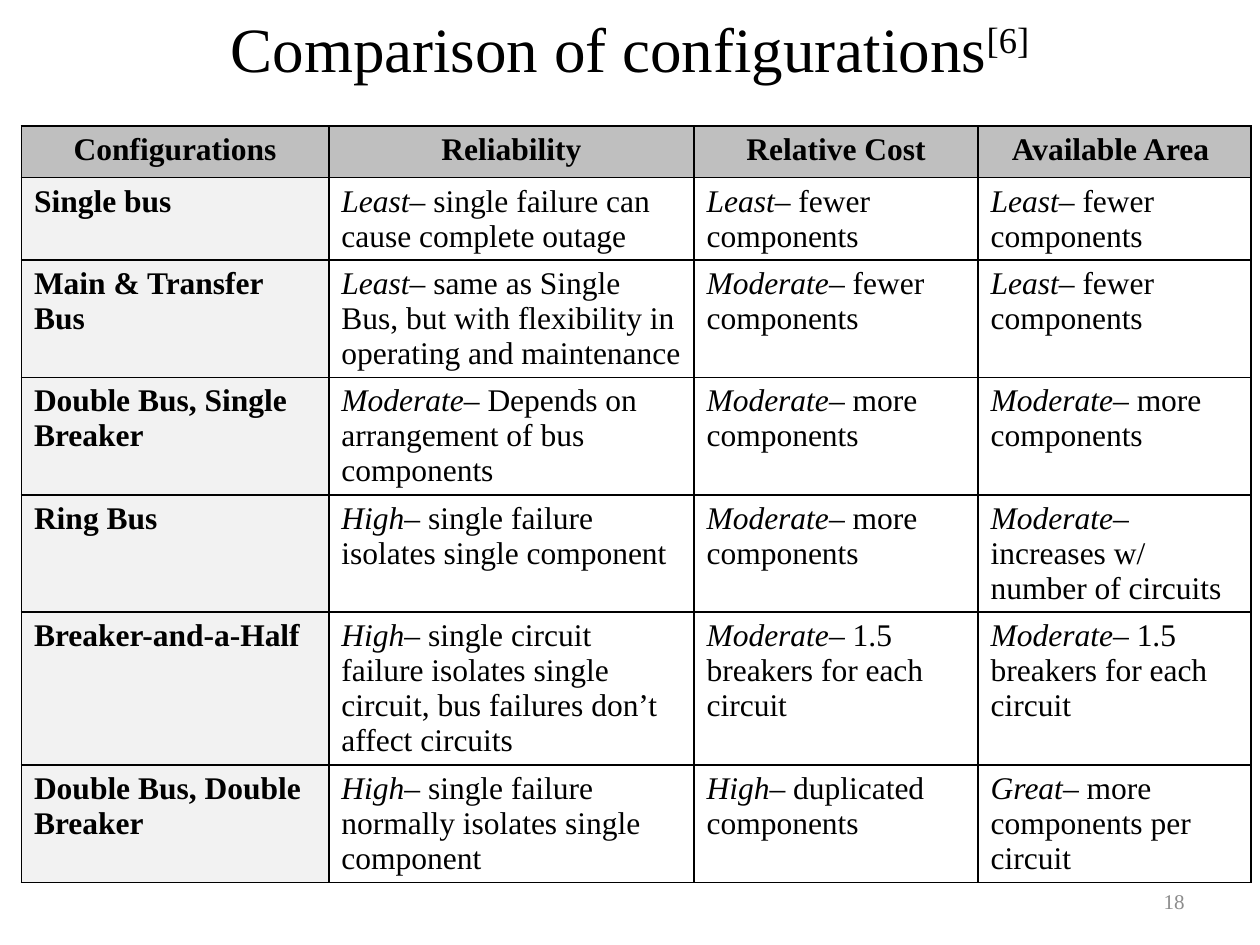
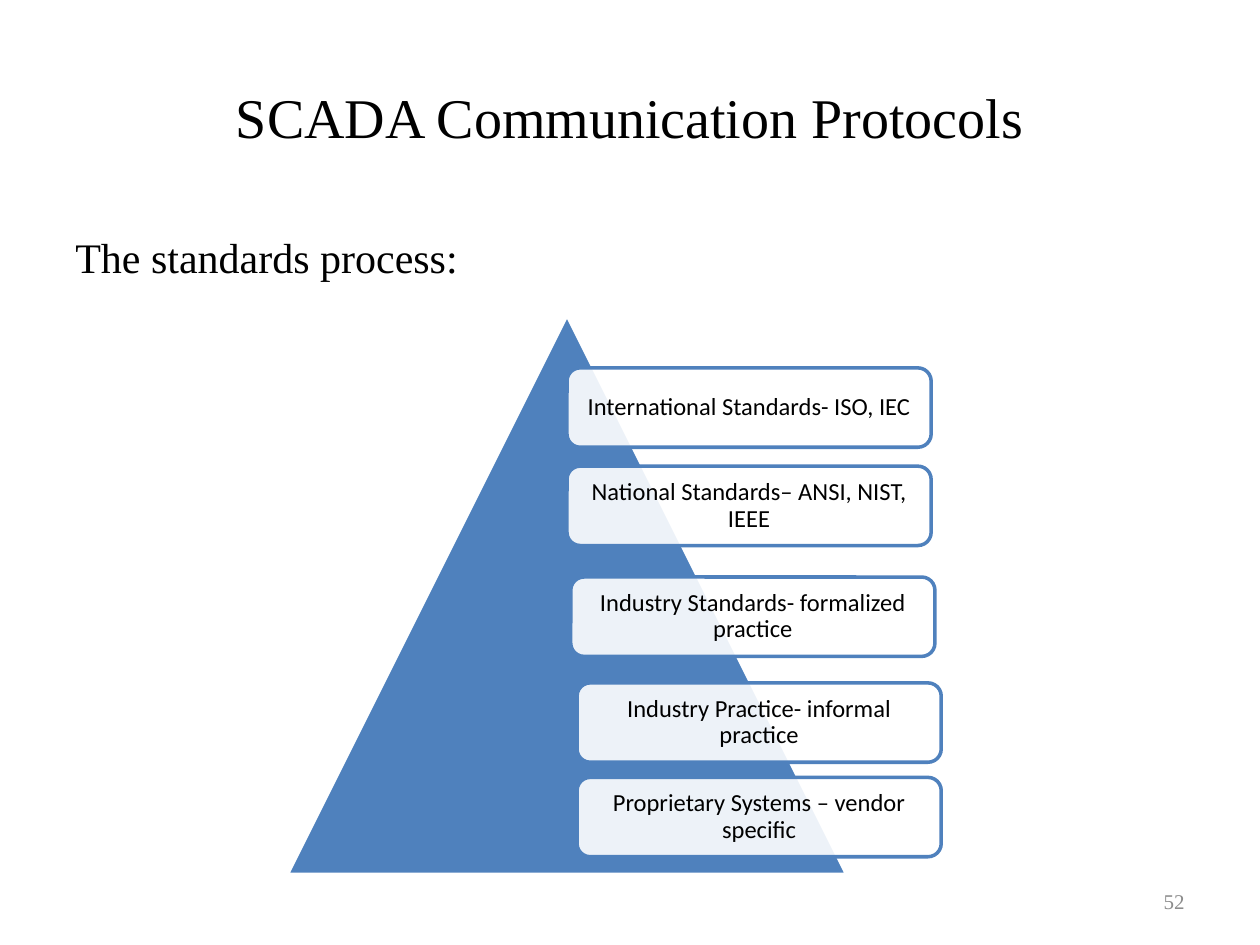
from dataclasses import dataclass

from lxml import etree
from pptx import Presentation
from pptx.dml.color import RGBColor
from pptx.enum.shapes import MSO_SHAPE
from pptx.enum.text import MSO_ANCHOR, MSO_AUTO_SIZE, PP_ALIGN
from pptx.oxml.ns import qn
from pptx.util import Inches, Pt

LEFT, CENTER, RIGHT = PP_ALIGN.LEFT, PP_ALIGN.CENTER, PP_ALIGN.RIGHT
TOP, MIDDLE = MSO_ANCHOR.TOP, MSO_ANCHOR.MIDDLE
TRIANGLE, ROUNDED = MSO_SHAPE.ISOSCELES_TRIANGLE, MSO_SHAPE.ROUNDED_RECTANGLE
NO_FIT = MSO_AUTO_SIZE.NONE
WIDTH, HEIGHT = 10, 7.5


@dataclass(frozen=True)
class Theme:
    serif: str = "Times New Roman"
    sans: str = "Calibri"
    ink: str = "000000"
    paper: str = "FFFFFF"
    muted: str = "8C8C8C"
    accent: str = "4F81BD"
    header: str = "BFBFBF"
    label: str = "F2F2F2"
    title: int = 36
    long_title: int = 32
    lead: int = 24
    cell: int = 18
    level: int = 14
    page: int = 12
    rule: int = 1
    outline: int = 2


T = Theme()

TITLE_X, TITLE_W, TITLE_H = 0.05, 0.9, 1.25 / HEIGHT
PAGE_BOX = (7.17 / WIDTH, 6.95 / HEIGHT, 2.33 / WIDTH, 0.4 / HEIGHT)
LEAD_BOX = (0.05, 1.75 / HEIGHT, 0.9, 0.67 / HEIGHT)
TABLE_BOX = (0.017, 1 / HEIGHT, 0.976, 6 / HEIGHT)
PYRAMID_BOX = (0.228, 2.5 / HEIGHT, 0.444, 4.44 / HEIGHT)

COLUMN_SHARES = (0.25, 0.297, 0.231, 0.222)
ROW_HEIGHTS = (0.41, 0.65, 0.93, 0.93, 0.93, 1.21, 0.93)
HEADERS = ("Configurations", "Reliability", "Relative Cost", "Available Area ")
CONFIGURATIONS = (
    ("Single bus",
     "Least– single failure can cause complete outage",
     "Least– fewer components",
     "Least– fewer components"),
    ("Main & Transfer Bus",
     "Least– same as Single Bus, but with flexibility in operating and maintenance",
     "Moderate– fewer components",
     "Least– fewer components"),
    ("Double Bus, Single Breaker",
     "Moderate– Depends on arrangement of bus components",
     "Moderate– more components",
     "Moderate– more components"),
    ("Ring Bus",
     "High– single failure isolates single component",
     "Moderate– more components",
     "Moderate– increases w/ number of circuits"),
    ("Breaker-and-a-Half",
     "High– single circuit failure isolates single circuit, bus failures don’t affect circuits",
     "Moderate– 1.5 breakers for each circuit",
     "Moderate– 1.5 breakers for each circuit"),
    ("Double Bus, Double Breaker",
     "High– single failure normally isolates single component",
     "High– duplicated components",
     "Great– more components per circuit"),
)

LEVEL_W, LEVEL_H = 2.89, 0.63
LEVELS = (
    (2.22, 0.42, "International Standards- ISO, IEC"),
    (2.22, 1.2, "National Standards– ANSI, NIST, IEEE"),
    (2.25, 2.08, "Industry Standards- formalized practice"),
    (2.3, 2.92, "Industry Practice- informal practice"),
    (2.3, 3.67, "Proprietary Systems – vendor specific"),
)


def rgb(color):
    return RGBColor.from_string(color)


def to_slide(box):
    x, y, w, h = box
    return Inches(x * WIDTH), Inches(y * HEIGHT), Inches(w * WIDTH), Inches(h * HEIGHT)


def style(p, size, align=LEFT, color=T.ink, font=T.serif, bold=None):
    p.alignment = align
    p.font.size, p.font.name, p.font.bold = Pt(size), font, bold
    p.font.color.rgb = rgb(color)


def add_title(s, text, y, size, reference=""):
    sp = s.shapes.title
    sp.left, sp.top, sp.width, sp.height = to_slide((TITLE_X, y, TITLE_W, TITLE_H))
    tf = sp.text_frame
    tf.auto_size, tf.vertical_anchor = NO_FIT, MIDDLE
    p = tf.paragraphs[0]
    p.add_run().text = text
    if reference:
        r = p.add_run()
        r.text = reference
        r.font._element.set("baseline", "30000")
    style(p, size, CENTER)


def add_text(s, box, text, size, align=LEFT, color=T.ink, anchor=TOP, inset=0.05):
    tf = s.shapes.add_textbox(*to_slide(box)).text_frame
    tf.word_wrap, tf.vertical_anchor, tf.margin_top = True, anchor, Inches(inset)
    p = tf.paragraphs[0]
    p.text = text
    style(p, size, align, color)


def add_page(s, number):
    add_text(s, PAGE_BOX, number, T.page, RIGHT, T.muted, MIDDLE)


def set_borders(cell):
    props = cell._tc.get_or_add_tcPr()
    for i, side in enumerate(("lnL", "lnR", "lnT", "lnB")):
        ln = etree.Element(qn(f"a:{side}"), w=str(Pt(T.rule)))
        fill = etree.SubElement(ln, qn("a:solidFill"))
        etree.SubElement(fill, qn("a:srgbClr"), val=T.ink)
        props.insert(i, ln)


def fill_cell(cell, text, row, column):
    header, label = row == 0, column == 0
    cell.fill.solid()
    cell.fill.fore_color.rgb = rgb(T.header if header else T.label if label else T.paper)
    set_borders(cell)
    p = cell.text_frame.paragraphs[0]
    if header or label:
        p.text = text
    else:
        rating, dash, reason = text.partition("–")
        r = p.add_run()
        r.text, r.font.italic = rating, True
        p.add_run().text = dash + reason
    style(p, T.cell, CENTER if header else LEFT, bold=header or label)


def add_comparison_table(s, box):
    rows = (HEADERS, *CONFIGURATIONS)
    x, y, w, h = to_slide(box)
    table = s.shapes.add_table(len(rows), len(HEADERS), x, y, w, h).table
    table.horz_banding = False
    for column, share in zip(table.columns, COLUMN_SHARES):
        column.width = int(w * share)
    for row, height in zip(table.rows, ROW_HEIGHTS):
        row.height = int(h * height / sum(ROW_HEIGHTS))
    for i, row in enumerate(rows):
        for j, text in enumerate(row):
            fill_cell(table.cell(i, j), text, i, j)


def add_outlined(shapes, kind, box, fill, line):
    sp = shapes.add_shape(kind, *box)
    sp.shadow.inherit = False
    sp.fill.solid()
    sp.fill.fore_color.rgb = rgb(fill)
    sp.line.color.rgb = rgb(line)
    sp.line.width = Pt(T.outline)
    return sp


def add_level(shapes, box, text):
    sp = add_outlined(shapes, ROUNDED, box, T.paper, T.accent)
    color = sp.fill._xPr.find(f"{qn('a:solidFill')}/{qn('a:srgbClr')}")
    etree.SubElement(color, qn("a:alpha"), val="90000")
    tf = sp.text_frame
    tf.word_wrap, tf.vertical_anchor = True, MIDDLE
    tf.margin_left = tf.margin_right = tf.margin_top = tf.margin_bottom = Inches(0.06)
    p = tf.paragraphs[0]
    p.text, p.line_spacing = text, 0.9
    style(p, T.level, CENTER, font=T.sans)


def add_pyramid(s, box):
    x, y, w, h = to_slide(box)
    shapes = s.shapes.add_group_shape().shapes
    add_outlined(shapes, TRIANGLE, (x, y, w, h), T.accent, T.paper)
    for dx, dy, text in LEVELS:
        level = (x + Inches(dx), y + Inches(dy), Inches(LEVEL_W), Inches(LEVEL_H))
        add_level(shapes, level, text)


def add_slide(prs):
    return prs.slides.add_slide(prs.slide_layouts[5])


def comparison_slide(prs):
    s = add_slide(prs)
    add_title(s, "Comparison of configurations", -0.25 / HEIGHT, T.title, "[6]")
    add_comparison_table(s, TABLE_BOX)
    add_page(s, "18")


def protocols_slide(prs):
    s = add_slide(prs)
    add_title(s, "SCADA Communication Protocols", 0.04, T.long_title)
    add_text(s, LEAD_BOX, "The standards process:", T.lead, inset=0.09)
    add_pyramid(s, PYRAMID_BOX)
    add_page(s, "52")


def main():
    prs = Presentation()
    prs.slide_width, prs.slide_height = Inches(WIDTH), Inches(HEIGHT)
    comparison_slide(prs)
    protocols_slide(prs)
    prs.save("out.pptx")


if __name__ == "__main__":
    main()
